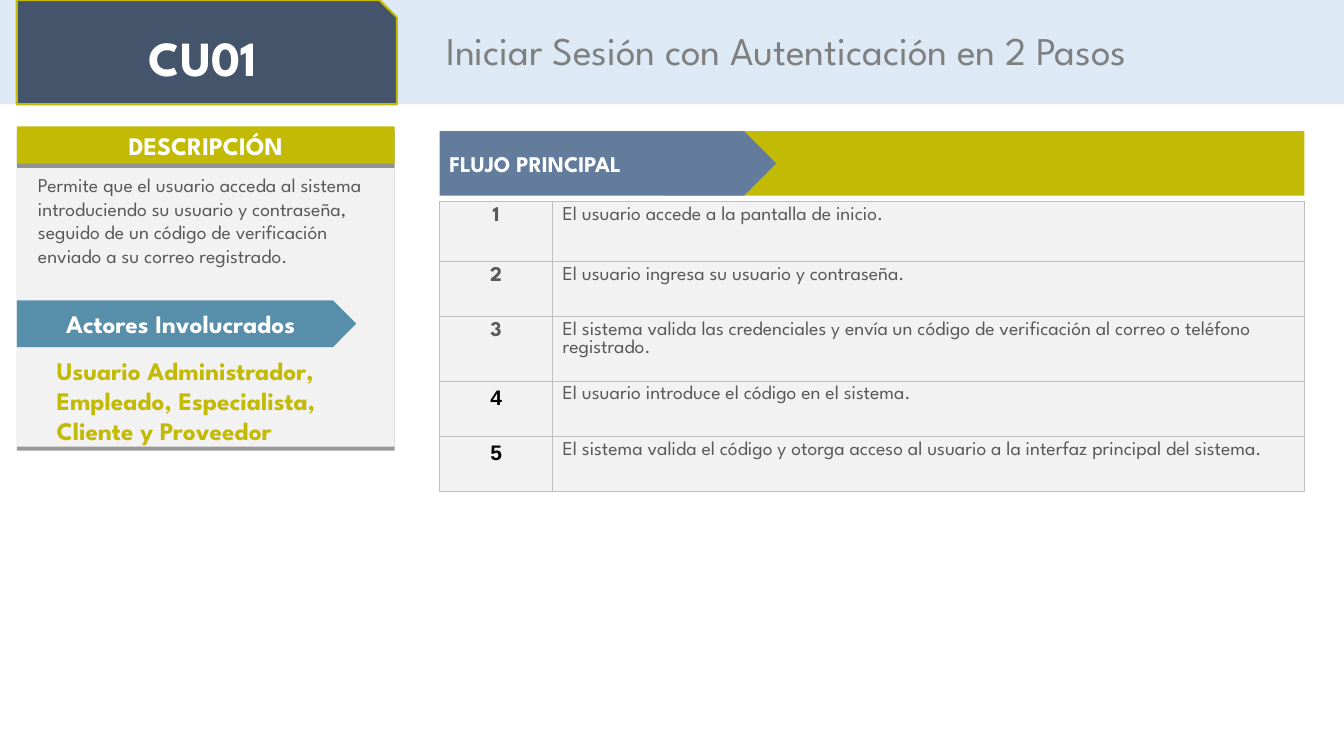
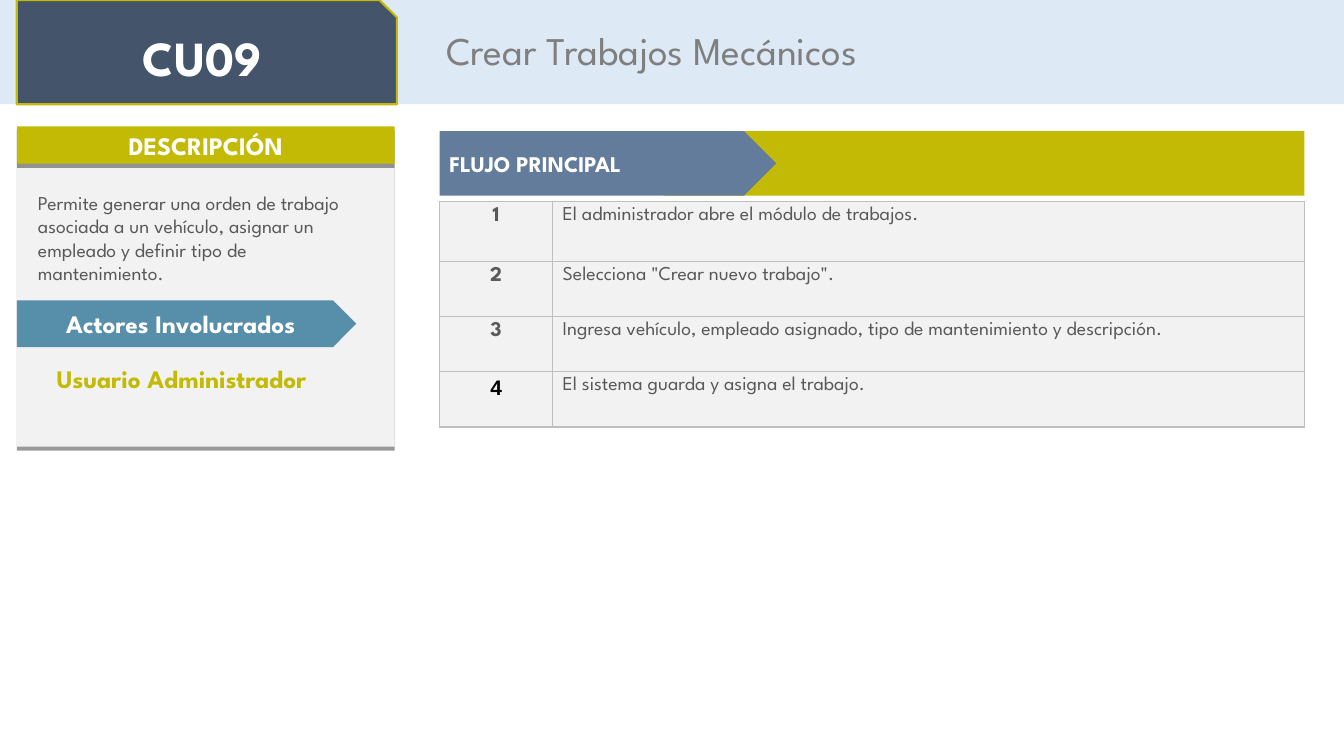
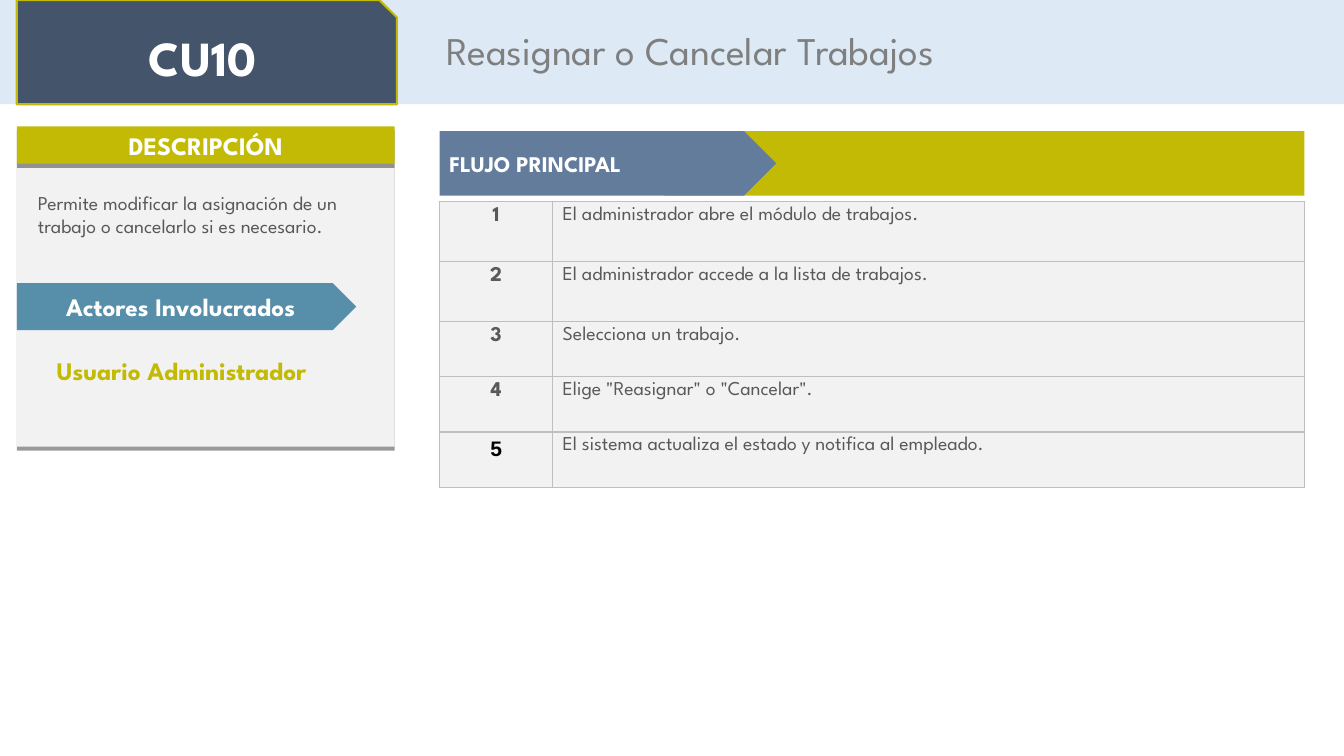
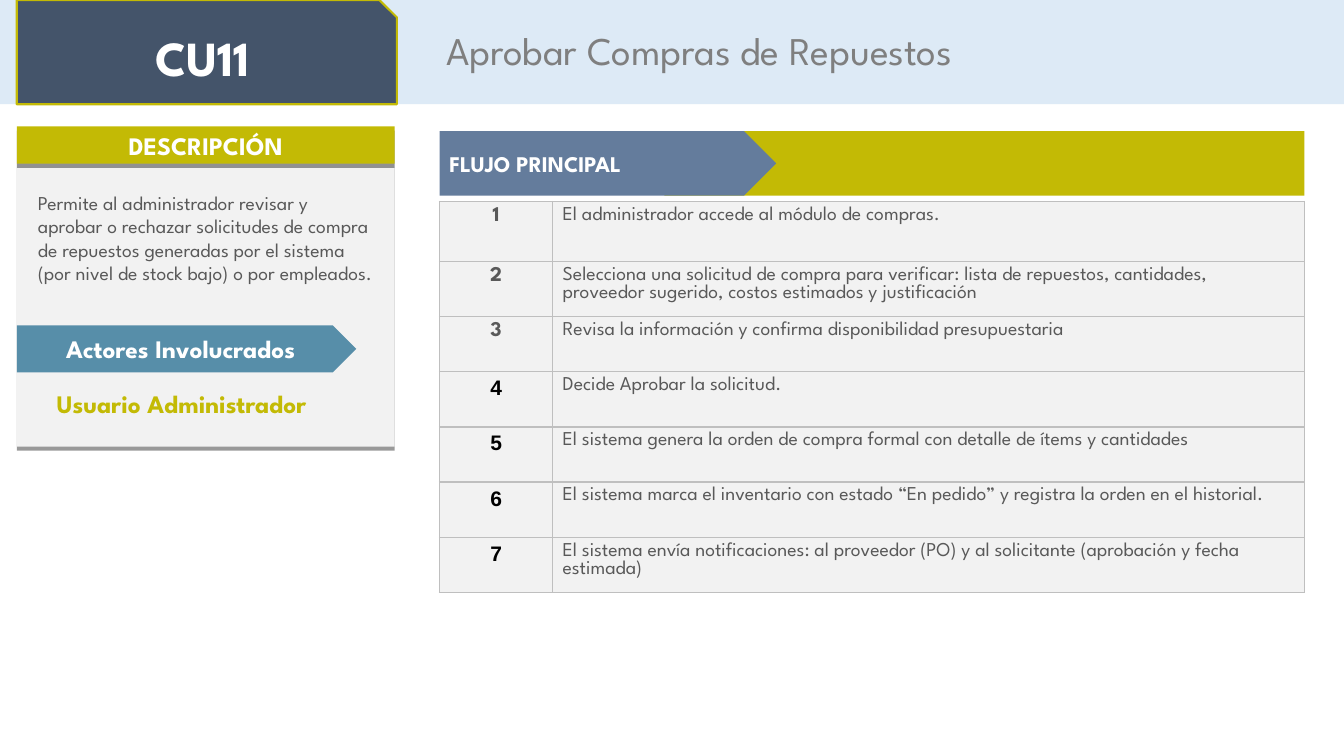
from dataclasses import dataclass, field

import pptx
import pptx.dml.color
import pptx.enum.shapes
import pptx.enum.text
import pptx.oxml
import pptx.oxml.ns
import pptx.util

Pt = pptx.util.Pt
RGB = pptx.dml.color.RGBColor.from_string
SHAPE = pptx.enum.shapes.MSO_SHAPE
ALIGN = pptx.enum.text.PP_ALIGN
ANCHOR = pptx.enum.text.MSO_ANCHOR
AUTO_SIZE = pptx.enum.text.MSO_AUTO_SIZE


@dataclass(frozen=True)
class Theme:
    font: str = "League Spartan"
    plain_font: str = "Arial"
    band: str = "DDEAF6"
    tag: str = "44546A"
    accent: str = "C3BA05"
    panel: str = "F2F2F2"
    actor: str = "578EA9"
    flow: str = "647C9C"
    white: str = "FFFFFF"
    black: str = "000000"
    title: str = "7F7F7F"
    body: str = "595959"
    border: str = "BFBFBF"
    border_width: float = 0.96
    sizes: dict = field(default_factory=lambda: {
        "tag": 35, "title": 28, "heading": 18, "flow": 16, "number": 15, "body": 14})


T = Theme()


@dataclass(frozen=True)
class UseCase:
    code: str
    title: str
    description: str
    steps: tuple
    actors: str = "Usuario Administrador"
    description_top: float = 132.5
    arrow_top: float = 214.5
    actors_top: float = 250
    styled_numbers: int = 3
    tall_rows: dict = field(default_factory=dict)


CASES = (
    UseCase(
        "CU01", "Iniciar Sesión con Autenticación en 2 Pasos",
        "Permite que el usuario acceda al sistema introduciendo su usuario y contraseña, "
        "seguido de un código de verificación enviado a su correo registrado.",
        ("El usuario accede a la pantalla de inicio.",
         "El usuario ingresa su usuario y contraseña.",
         "El sistema valida las credenciales y envía un código de verificación al correo "
         "o teléfono registrado.",
         "El usuario introduce el código en el sistema.",
         "El sistema valida el código y otorga acceso al usuario a la interfaz principal "
         "del sistema."),
        actors="Usuario Administrador, Empleado, Especialista, Cliente y Proveedor",
        description_top=120.25, tall_rows={3: 46}),
    UseCase(
        "CU09", "Crear Trabajos Mecánicos",
        "Permite generar una orden de trabajo asociada a un vehículo, asignar un empleado "
        "y definir tipo de mantenimiento.",
        ("El administrador abre el módulo de trabajos.",
         'Selecciona "Crear nuevo trabajo".',
         "Ingresa vehículo, empleado asignado, tipo de mantenimiento y descripción.",
         "El sistema guarda y asigna el trabajo."),
        actors_top=256),
    UseCase(
        "CU10", "Reasignar o Cancelar Trabajos",
        "Permite modificar la asignación de un trabajo o cancelarlo si es necesario.",
        ("El administrador abre el módulo de trabajos.",
         "El administrador accede a la lista de trabajos.",
         "Selecciona un trabajo.",
         'Elige "Reasignar" o "Cancelar".',
         "El sistema actualiza el estado y notifica al empleado."),
        arrow_top=202.3, styled_numbers=4, tall_rows={2: 43}),
    UseCase(
        "CU11", "Aprobar Compras de Repuestos",
        "Permite al administrador revisar y aprobar o rechazar solicitudes de compra de "
        "repuestos generadas por el sistema (por nivel de stock bajo) o por empleados.",
        ("El administrador accede al módulo de compras.",
         "Selecciona una solicitud de compra para verificar: lista de repuestos, "
         "cantidades, proveedor sugerido, costos estimados y justificación",
         "Revisa la información y confirma disponibilidad presupuestaria",
         "Decide Aprobar la solicitud.",
         "El sistema genera la orden de compra formal con detalle de ítems y cantidades",
         "El sistema marca el inventario con estado “En pedido” y registra la orden en el "
         "historial.",
         "El sistema envía notificaciones: al proveedor (PO) y al solicitante (aprobación "
         "y fecha estimada)"),
        arrow_top=232.5, actors_top=273.75),
)


def apply(target, values):
    for name, value in values.items():
        setattr(target, name, value)


def write(tf, text, size, color, bold=False, font=T.font, align=ALIGN.LEFT):
    p = tf.paragraphs[0]
    p.alignment = align
    r = p.add_run()
    r.text = text
    apply(r.font, {"name": font, "size": Pt(T.sizes[size]), "bold": bold})
    r.font.color.rgb = RGB(color)


def add_block(s, kind, box, fill, line=None):
    sp = s.shapes.add_shape(kind, *map(Pt, box))
    sp.shadow.inherit = False
    sp.fill.solid()
    sp.fill.fore_color.rgb = RGB(fill)
    if line:
        sp.line.color.rgb = RGB(line)
        sp.line.width = Pt(1.5)
    else:
        sp.line.fill.background()
    apply(sp.text_frame, {"word_wrap": True, "vertical_anchor": ANCHOR.MIDDLE})
    return sp


def add_text(s, box, text, size, color, bold=False):
    tf = s.shapes.add_textbox(*map(Pt, box)).text_frame
    apply(tf, {"word_wrap": True, "auto_size": AUTO_SIZE.NONE})
    write(tf, text, size, color, bold)


def drop_shadow(sp):
    effects = sp.element.spPr.find(pptx.oxml.ns.qn("a:effectLst"))
    effects.append(pptx.oxml.parse_xml(
        f'<a:outerShdw {pptx.oxml.ns.nsdecls("a")} blurRad="0" dist="{Pt(3)}" '
        f'dir="5400000" algn="t" rotWithShape="0"><a:srgbClr val="{T.black}">'
        '<a:alpha val="40000"/></a:srgbClr></a:outerShdw>'))


def border_cell(cell):
    tc_pr = cell._tc.get_or_add_tcPr()
    for side in ("lnL", "lnR", "lnT", "lnB"):
        tc_pr.append(pptx.oxml.parse_xml(
            f'<a:{side} {pptx.oxml.ns.nsdecls("a")} w="{Pt(T.border_width)}">'
            f'<a:solidFill><a:srgbClr val="{T.border}"/></a:solidFill></a:{side}>'))


def add_header(s, case, box):
    x, y, w, h = box
    band = add_block(s, SHAPE.RECTANGLE, box, T.band)
    title = s.shapes.title
    title.element.addprevious(band.element)
    apply(title, {"left": Pt(x + 311.5), "top": Pt(y + 15.25),
                  "width": Pt(609), "height": Pt(41)})
    apply(title.text_frame, {"word_wrap": True, "auto_size": AUTO_SIZE.NONE,
                             "vertical_anchor": ANCHOR.TOP})
    write(title.text_frame, case.title, "title", T.title)
    tag = add_block(s, SHAPE.SNIP_1_RECTANGLE, (x + 12, y, 271.5, h), T.tag, T.accent)
    tag.adjustments[0] = 0.167
    write(tag.text_frame, case.code, "tag", T.white, True, align=ALIGN.CENTER)


def add_description(s, case, box):
    x, y, w, h = box
    heading_h = 26.75
    panel = add_block(s, SHAPE.RECTANGLE, (x, y + heading_h, w, h - heading_h), T.panel)
    heading = add_block(s, SHAPE.RECTANGLE, (x, y, w, heading_h), T.accent)
    for sp in (panel, heading):
        drop_shadow(sp)
    arrow = add_block(s, SHAPE.PENTAGON, (x, case.arrow_top, 242.5, 33.5), T.actor)
    for sp, label in ((heading, "DESCRIPCIÓN"), (arrow, "Actores Involucrados")):
        write(sp.text_frame, label, "heading", T.white, True, align=ALIGN.CENTER)
    add_text(s, (x + 8, case.description_top, 255.5, 60), case.description, "body", T.body)
    add_text(s, (x + 21.4, case.actors_top, 227, 29), case.actors, "heading", T.accent, True)


def add_flow(s, case, box):
    x, y, w, h = box
    add_block(s, SHAPE.RECTANGLE, (x + 160.5, y, w - 160.5, h), T.accent)
    arrow = add_block(s, SHAPE.PENTAGON, (x, y, 240.5, h), T.flow)
    write(arrow.text_frame, "FLUJO PRINCIPAL", "flow", T.white, True)

    heights = [case.tall_rows.get(n, 43 if n == 1 else 39.4)
               for n in range(1, len(case.steps) + 1)]
    table = s.shapes.add_table(len(heights), 2, Pt(x), Pt(y + h + 4.1),
                               Pt(w), Pt(sum(heights))).table
    apply(table, {"first_row": False, "horz_banding": False})
    number_w = 80.75
    for column, width in zip(table.columns, (number_w, w - number_w)):
        column.width = Pt(width)
    for n, (row, height, step) in enumerate(zip(table.rows, heights, case.steps), 1):
        row.height = Pt(height)
        for cell in row.cells:
            border_cell(cell)
            cell.fill.solid()
            cell.fill.fore_color.rgb = RGB(T.panel)
        number, text = row.cells
        styled = n <= case.styled_numbers
        write(number.text_frame, str(n), "number", T.body if styled else T.black, True,
              T.font if styled else T.plain_font, ALIGN.CENTER)
        write(text.text_frame, step, "body", T.body)


def add_use_case(prs, case):
    s = prs.slides.add_slide(prs.slide_layouts.get_by_name("Title Only"))
    add_header(s, case, (0, 0, 960, 74.5))
    add_description(s, case, (12, 90.25, 270, 228.75))
    add_flow(s, case, (314, 93.7, 617.75, 46.1))


def main():
    prs = pptx.Presentation()
    apply(prs, {"slide_width": Pt(960), "slide_height": Pt(540)})
    for case in CASES:
        add_use_case(prs, case)
    prs.save("out.pptx")


if __name__ == "__main__":
    main()
